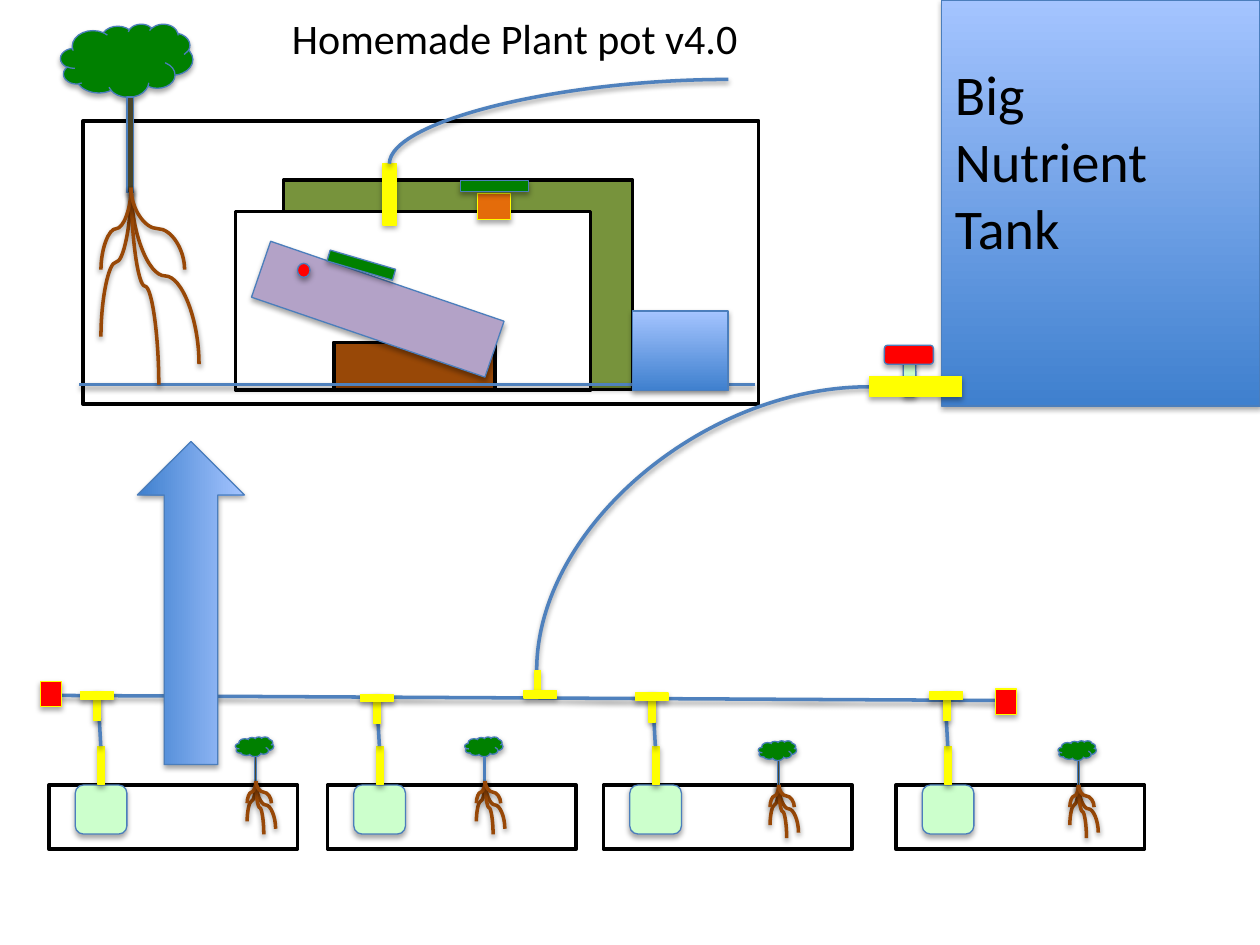
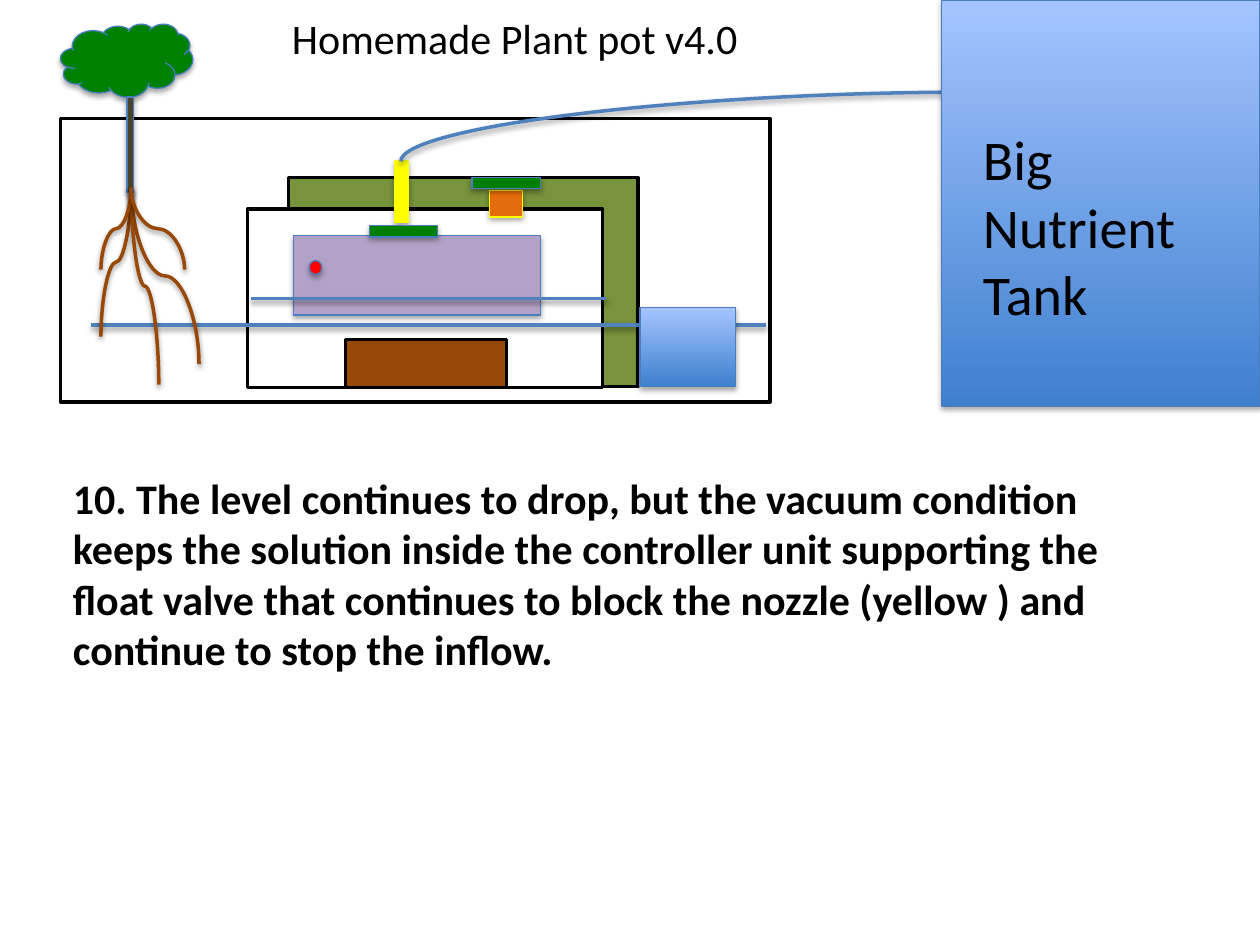
"""Build the two plant pot slides: the watering system and the float valve step."""
from dataclasses import dataclass
from typing import Any, NamedTuple

from lxml import etree
from pptx import Presentation
from pptx.dml.color import RGBColor
from pptx.enum.shapes import MSO_CONNECTOR, MSO_SHAPE
from pptx.enum.text import MSO_AUTO_SIZE
from pptx.oxml.ns import qn
from pptx.util import Pt

RECT = MSO_SHAPE.RECTANGLE
ROUNDED = MSO_SHAPE.ROUNDED_RECTANGLE
OVAL = MSO_SHAPE.OVAL
CLOUD = MSO_SHAPE.CLOUD
LEFT_ARROW = MSO_SHAPE.LEFT_ARROW
STRAIGHT = MSO_CONNECTOR.STRAIGHT
CURVE = MSO_CONNECTOR.CURVE
FIT_TEXT = MSO_AUTO_SIZE.SHAPE_TO_FIT_TEXT


class Box(NamedTuple):
    x: float
    y: float
    w: float
    h: float

    def moved(self, dx: float, dy: float) -> "Box":
        return Box(self.x + dx, self.y + dy, self.w, self.h)


class Style(NamedTuple):
    fill: str | tuple[str, str]
    line: str
    width: float = 0.75
    shadow: bool = True


@dataclass(frozen=True)
class Theme:
    font: str = "Calibri"
    text: str = "000000"
    title_size: int = 24
    label_size: int = 32
    edge: str = "4B7EBC"
    hose: str = "4F81BD"
    root: str = "984807"
    yellow: str = "FFFF00"
    green: str = "008000"
    red: str = "FF0000"
    mint: str = "CCFFCC"
    bark: str = "4A452A"
    olive: str = "77933C"
    purple: str = "B3A2C7"
    orange: str = "E46C0A"
    white: str = "FFFFFF"
    water: tuple[str, str] = ("3F80CE", "A4C4FF")
    stroke: float = 2


T = Theme()
WALL = Style(T.white, T.text, T.stroke, False)
HOUSING = WALL._replace(fill=T.olive)
BLOCK = WALL._replace(fill=T.root)
WATER = Style(T.water, T.edge)
LEAF = Style(T.green, T.edge)
BARK = Style(T.bark, T.edge)
FLOAT = Style(T.purple, T.edge)
PIVOT = Style(T.red, T.edge)
MINT = Style(T.mint, T.edge)
PIPE = Style(T.yellow, T.yellow)
STOPPER = Style(T.orange, T.yellow)
END_CAP = Style(T.red, T.yellow)

ROOT_TIPS = ((-17.2, 85), (38.8, 100.8), (15.8, 112.5), (-17.2, 46.8), (30.6, 46.8))


@dataclass(frozen=True)
class Controller:
    tray: Box
    housing: Box
    shift: tuple[float, float]
    float_box: Box
    float_turn: float
    flap: Box
    flap_turn: float
    hose: Box
    levels: tuple[tuple[float, float, float], ...]
    reservoir: Box


@dataclass(frozen=True)
class Pot:
    x: float
    tee_x: float
    tee_y: float
    plant_x: float
    plant_y: float


CONTROLLERS = (
    Controller(Box(47.5, 69, 386, 162), Box(162, 103, 199.5, 119.5), (0, 0),
               Box(145.4, 159.8, 141, 33.8), 18.9, Box(187, 148.3, 39, 6.5), 16.4,
               Box(222.5, 45.4, 193.7, 48.2), ((45.4, 431.3, 219.6),),
               Box(361.4, 177.8, 54.7, 45.4)),
    Controller(Box(34.5, 67.7, 405.5, 162), Box(165, 101.5, 199.5, 119.5), (6.75, -1.6),
               Box(167.8, 134.6, 141, 45.4), 0, Box(211, 128.9, 39, 6.5), 0,
               Box(229, 52.6, 326, 39.6), ((51.8, 437.8, 185.8), (143.3, 346.3, 170.6)),
               Box(365.8, 175.7, 54.7, 45.4)),
)
POTS = (
    Pot(28, 46, 395.3, 146.2, 446.4),
    Pot(187.2, 206, 396.7, 277.2, 446.4),
    Pot(344.9, 363, 396, 445, 448.6),
    Pot(512, 531.4, 395.3, 616.3, 448.6),
)


def rgb(value: str) -> RGBColor:
    return RGBColor.from_string(value)


def add_effects(o: Any, alpha: int) -> None:
    effects = etree.SubElement(o._element.spPr, qn("a:effectLst"))
    if alpha:
        shadow = etree.SubElement(effects, qn("a:outerShdw"))
        values = {"blurRad": Pt(3.1), "dist": Pt(1.7), "dir": 90 * 60000, "rotWithShape": 0}
        for name, value in values.items():
            shadow.set(name, str(int(value)))
        color = etree.SubElement(shadow, qn("a:srgbClr"), val=T.text)
        etree.SubElement(color, qn("a:alpha"), val=str(alpha * 1000))


def add_shape(shapes: Any, kind: Any, box: Box, style: Style, turn: float = 0) -> None:
    o = shapes.add_shape(kind, *map(Pt, box))
    o.rotation = turn
    if isinstance(style.fill, str):
        o.fill.solid()
        o.fill.fore_color.rgb = rgb(style.fill)
    else:
        o.fill.gradient()
        o.fill.gradient_angle = 90
        for stop, color in zip(o.fill.gradient_stops, style.fill):
            stop.color.rgb = rgb(color)
    o.line.color.rgb = rgb(style.line)
    o.line.width = Pt(style.width)
    add_effects(o, 35 if style.shadow else 0)


def add_line(shapes: Any, x1: float, y1: float, x2: float, y2: float,
             color: str = T.hose, kind: Any = STRAIGHT) -> Any:
    o = shapes.add_connector(kind, *map(Pt, (x1, y1, x2, y2)))
    o.line.color.rgb = rgb(color)
    o.line.width = Pt(T.stroke)
    add_effects(o, 38)
    return o


def turn_curve(o: Any, degrees: int, flip: str = "") -> None:
    xfrm = o._element.spPr.find(qn("a:xfrm"))
    xfrm.set("rot", str(degrees * 60000))
    if flip:
        xfrm.set(flip, "1")


def add_hose(shapes: Any, box: Box) -> None:
    o = add_line(shapes, box.x, box.y, box.x + box.w, box.y + box.h, kind=CURVE)
    o._element.spPr.find(qn("a:prstGeom")).set("prst", "curvedConnector2")
    turn_curve(o, 180, "flipV")


def add_root(shapes: Any, x: float, y: float, dx: float, dy: float) -> None:
    cx, cy, half_w, half_h = x + dx / 2, y + dy / 2, dy / 2, abs(dx) / 2
    o = add_line(shapes, cx - half_w, cy - half_h, cx + half_w, cy + half_h, T.root, CURVE)
    if dx < 0:
        turn_curve(o, 90)
    else:
        turn_curve(o, 270, "flipH")


def add_plant(s: Any, x: float, y: float, sx: float = 1, sy: float = 1) -> None:
    shapes = s.shapes.add_group_shape().shapes
    add_shape(shapes, CLOUD, Box(x - 40.3 * sx, y - 93.6 * sy, 75.6 * sx, 41.8 * sy), LEAF)
    add_shape(shapes, RECT, Box(x - 2.3 * sx, y - 51.8 * sy, 3.8 * sx, 54.7 * sy), BARK)
    for dx, dy in ROOT_TIPS:
        add_root(shapes, x, y, dx * sx, dy * sy)


def add_text(s: Any, box: Box, lines: tuple[str, ...], size: int,
             bold: bool = False, wrap: bool = True) -> None:
    tf = s.shapes.add_textbox(*map(Pt, box)).text_frame
    tf.word_wrap = wrap
    tf.auto_size = FIT_TEXT
    formats = {"name": T.font, "size": Pt(size), "bold": bold}
    for i, line in enumerate(lines):
        p = tf.paragraphs[0] if i == 0 else tf.add_paragraph()
        r = p.add_run()
        r.text = line
        r.font.color.rgb = rgb(T.text)
        for name, value in formats.items():
            setattr(r.font, name, value)


def add_controller(s: Any, c: Controller) -> None:
    sp = s.shapes
    parts = (
        (RECT, c.tray, WALL, 0),
        (RECT, c.housing, HOUSING, 0),
        (RECT, Box(134.6, 121, 203, 102).moved(*c.shift), WALL, 0),
        (RECT, Box(190.8, 195.6, 92, 27.4).moved(*c.shift), BLOCK, 0),
        (RECT, c.float_box, FLOAT, c.float_turn),
        (RECT, Box(218.9, 93.6, 7.6, 35).moved(*c.shift), PIPE, 0),
        (RECT, Box(273, 110.6, 18.7, 15).moved(*c.shift), STOPPER, 0),
        (RECT, Box(263, 103, 39, 6.5).moved(*c.shift), LEAF, 0),
        (RECT, c.flap, LEAF, c.flap_turn),
        (OVAL, Box(170, 150.5, 7.2, 8).moved(*c.shift), PIVOT, 0),
    )
    for kind, box, style, turn in parts:
        add_shape(sp, kind, box, style, turn)
    add_hose(sp, c.hose)
    for left, right, y in c.levels:
        add_line(sp, left, y, right, y)
    add_shape(sp, RECT, c.reservoir, WATER)


def add_tee(s: Any, x: float, y: float) -> None:
    add_shape(s.shapes, RECT, Box(x + 7.7, y, 3.8, 16.6), PIPE)
    add_shape(s.shapes, RECT, Box(x, y, 18.7, 4.3), PIPE)


def add_pot(s: Any, pot: Pot) -> None:
    sp = s.shapes
    top, nozzle_top = 448.6, 426.4
    add_shape(sp, RECT, Box(pot.x, top, 142, 36.7), WALL)
    add_shape(sp, ROUNDED, Box(pot.x + 15, top, 29.5, 28), MINT)
    add_shape(sp, RECT, Box(pot.x + 28, nozzle_top, 3.8, 21.8), PIPE)
    add_line(sp, pot.x + 29.6, nozzle_top, pot.x + 28, 397.5)
    add_tee(s, pot.tee_x, pot.tee_y)
    add_plant(s, pot.plant_x, pot.plant_y, 0.29, 0.27)


def add_supply(s: Any) -> None:
    sp = s.shapes
    add_shape(sp, ROUNDED, Box(516.2, 198.7, 7.2, 28), MINT)
    add_hose(sp, Box(306.7, 221, 190, 162))
    add_line(sp, 34.6, 397.4, 574.6, 400.3)
    add_shape(sp, LEFT_ARROW, Box(16.8, 314, 184.6, 61.2), WATER, 90)
    add_shape(sp, RECT, Box(496.8, 215.3, 52.6, 11.5), PIPE)
    add_shape(sp, ROUNDED, Box(505.4, 197.3, 28, 10.8), PIVOT)
    add_shape(sp, RECT, Box(305.3, 383, 3.8, 11.6), PIPE)
    add_shape(sp, RECT, Box(299.5, 394.6, 18.7, 4.3), PIPE)
    for x, y in ((23, 389.5), (568.8, 393.8)):
        add_shape(sp, RECT, Box(x, y, 12.2, 14.4), END_CAP)


def add_base(prs: Any, c: Controller, label: Box, lines: tuple[str, ...]) -> Any:
    s = prs.slides.add_slide(prs.slide_layouts[6])
    add_controller(s, c)
    add_shape(s.shapes, RECT, Box(538, 0, 182, 232), WATER)
    add_text(s, label, lines, T.label_size)
    add_plant(s, 74.9, 107.3)
    add_text(s, Box(159.8, 3.6, 269.3, 36), ("Homemade Plant pot v4.0",), T.title_size, wrap=False)
    return s


def main() -> None:
    prs = Presentation()
    prs.slide_width, prs.slide_height = Pt(720), Pt(540)
    s = add_base(prs, CONTROLLERS[0], Box(538.6, 30.2, 181.4, 123.8), ("Big", "Nutrient Tank"))
    add_supply(s)
    for pot in POTS:
        add_pot(s, pot)
    s = add_base(prs, CONTROLLERS[1], Box(554.6, 67.8, 164.9, 123.8), ("Big Nutrient Tank",))
    step = ("10. The level continues to drop, but the vacuum condition keeps the solution "
            "inside the controller unit supporting the float valve that continues to block "
            "the nozzle (yellow ) and continue to stop the inflow.")
    add_text(s, Box(34.6, 266.4, 645.8, 123.8), (step,), T.title_size, bold=True)
    prs.save("out.pptx")


main()
